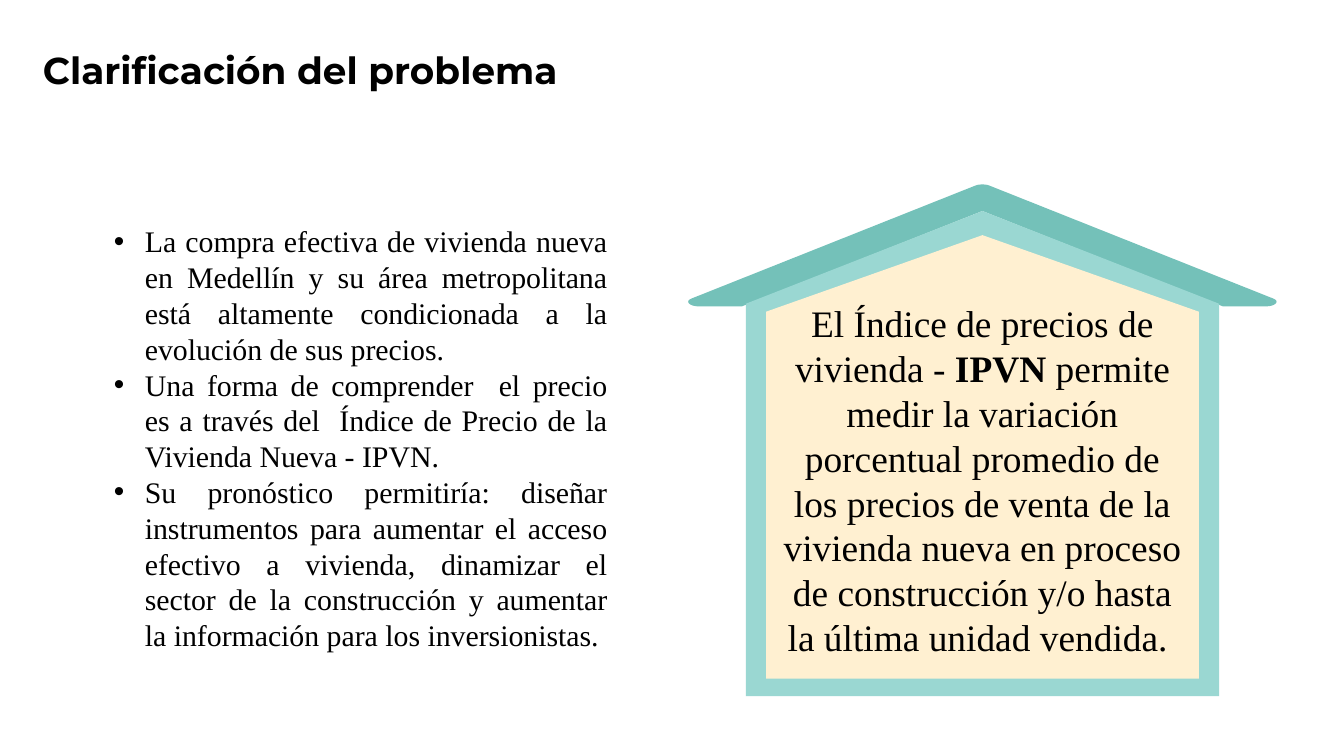
from lxml import etree
from pptx import Presentation
from pptx.dml.color import RGBColor
from pptx.enum.text import MSO_ANCHOR, PP_ALIGN
from pptx.oxml.ns import qn
from pptx.util import Inches, Pt

COLORS = {"text": "000000", "roof": "74C1B9", "wall": "9AD7D2", "interior": "FFF0D1"}
SERIF = "Times New Roman"


def write_text(shape, paragraphs, font=SERIF, size=20, align=PP_ALIGN.LEFT,
               anchor=MSO_ANCHOR.MIDDLE, insets=(0.1, 0.1, 0.1, 0.1), bullet_indent=None):
    """Fill a shape; each paragraph is a list of (text, bold) runs."""
    frame = shape.text_frame
    frame.word_wrap = True
    frame.vertical_anchor = anchor
    frame.margin_left, frame.margin_top, frame.margin_right, frame.margin_bottom = map(Inches, insets)
    for index, runs in enumerate(paragraphs):
        paragraph = frame.add_paragraph() if index else frame.paragraphs[0]
        paragraph.alignment = align
        if bullet_indent:
            properties = paragraph._p.get_or_add_pPr()
            properties.set("marL", str(Inches(bullet_indent)))
            properties.set("indent", str(-Inches(bullet_indent)))
            etree.SubElement(properties, qn("a:buFont"), typeface="Arial")
            etree.SubElement(properties, qn("a:buChar"), char="•")
        for text, bold in runs:
            run = paragraph.add_run()
            run.text = text
            run.font.name = font
            run.font.size = Pt(size)
            run.font.bold = bold
            run.font.color.rgb = RGBColor.from_string(COLORS["text"])


def curve(start, control1, control2, end, steps=8):
    """Points along a cubic Bezier curve."""
    return [
        tuple((1 - t) ** 3 * a + 3 * (1 - t) ** 2 * t * b + 3 * (1 - t) * t ** 2 * c + t ** 3 * d
              for a, b, c, d in zip(start, control1, control2, end))
        for t in (step / steps for step in range(steps + 1))
    ]


presentation = Presentation()
presentation.slide_width = Inches(10)
presentation.slide_height = Inches(10 * 9 / 16)
slide = presentation.slides.add_slide(presentation.slide_layouts[6])

title = slide.shapes.add_textbox(Inches(0.22), Inches(0.34), Inches(4.23), Inches(0.35))
write_text(title, [[("Clarificación del problema", True)]], font="Montserrat")

# House: the roof is symmetric about the ridge, the walls are two nested pentagons
ridge = 7.31
right_roof = [(ridge, 1.57), (9.1, 2.28)]
right_roof += curve((9.42, 2.28), (9.49, 2.28), (9.53, 2.24), (9.47, 2.22))
right_roof += curve((7.36, 1.38), (7.33, 1.37), (7.29, 1.37), (7.26, 1.38))[:5]
left_roof = [(2 * ridge - x, y) for x, y in reversed(right_roof)]
outlines = {
    "roof": right_roof + left_roof,
    "wall": [(9.07, 2.26), (9.07, 5.18), (5.55, 5.18), (5.55, 2.26), (ridge, 1.57)],
    "interior": [(8.92, 2.32), (8.92, 5.05), (5.7, 5.05), (5.7, 2.32), (ridge, 1.75)],
}
house = {}
for part, points in outlines.items():
    corners = [(Inches(x), Inches(y)) for x, y in points]
    builder = slide.shapes.build_freeform(*corners[0])
    builder.add_line_segments(corners[1:], close=True)
    shape = builder.convert_to_shape()
    shape.shadow.inherit = False
    shape.fill.solid()
    shape.fill.fore_color.rgb = RGBColor.from_string(COLORS[part])
    shape.line.fill.background()
    house[part] = shape

write_text(house["interior"], [[
    ("El Índice de precios de vivienda - ", False),
    ("IPVN", True),
    (" permite medir la variación porcentual promedio de los precios de venta de la vivienda "
     "nueva en proceso de construcción y/o hasta la última unidad vendida. ", False),
]], align=PP_ALIGN.CENTER, insets=(0.1, 0.44, 0.1, 0.1))

reasons = [
    "La compra efectiva de vivienda nueva en Medellín y su área metropolitana está altamente "
    "condicionada a la evolución de sus precios.",
    "Una forma de comprender  el precio es a través del  Índice de Precio de la Vivienda "
    "Nueva - IPVN.",
    "Su pronóstico permitiría: diseñar instrumentos para aumentar el acceso efectivo a vivienda, "
    "dinamizar el sector de la construcción y aumentar la información para los inversionistas.",
]
reason_box = slide.shapes.add_textbox(Inches(0.75), Inches(1.61), Inches(3.87), Inches(3.33))
write_text(reason_box, [[(reason, False)] for reason in reasons], size=16, align=PP_ALIGN.JUSTIFY,
           anchor=MSO_ANCHOR.TOP, insets=(0.1, 0.05, 0.1, 0.05), bullet_indent=0.23)

presentation.save("out.pptx")
